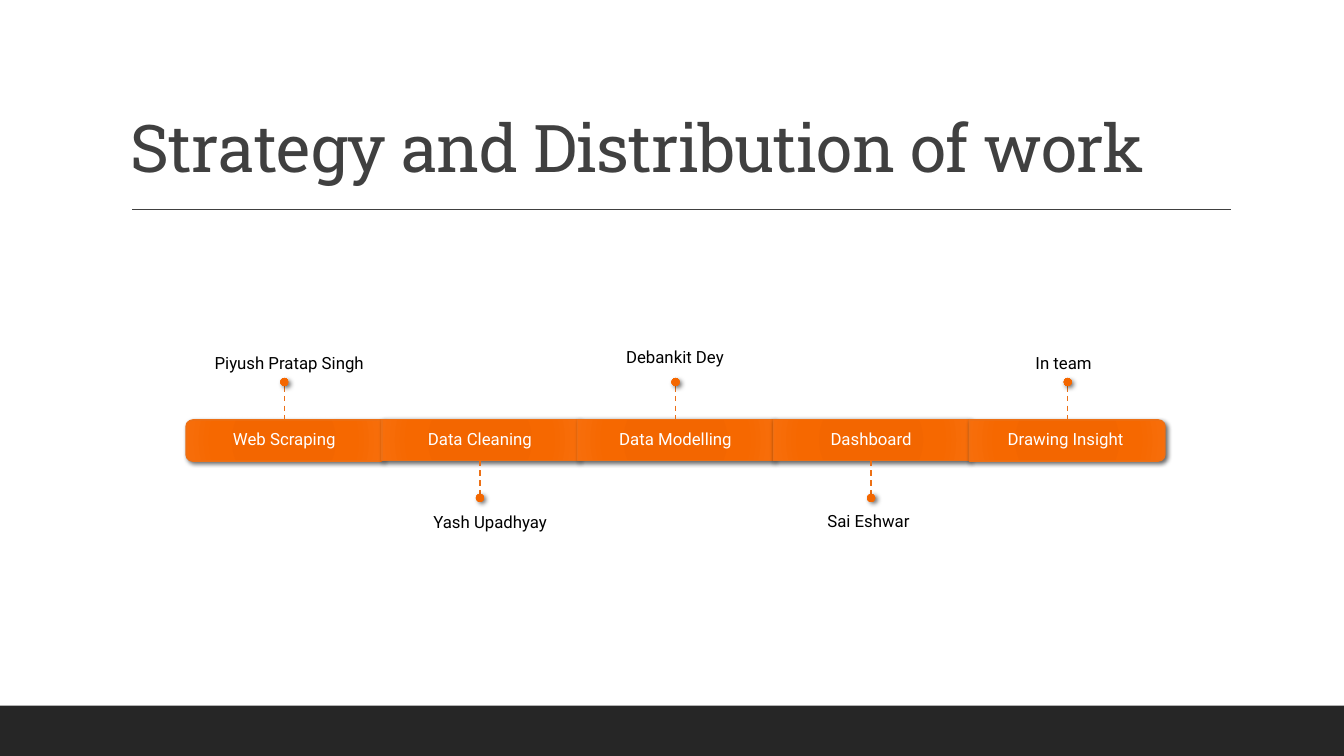
"""Build a slide that shows five work steps and who does each."""
from dataclasses import dataclass

import pptx
import pptx.dml.color
import pptx.enum.dml
import pptx.enum.shapes
import pptx.enum.text
import pptx.oxml
import pptx.oxml.ns
import pptx.util

PX = 9144
HUES = {"ink": "404040", "foot": "262626", "edge": "EC7016",
        "white": "FFFFFF", "black": "000000"}
GLOW = {0: "F06500", 34: "F36600", 70: "F66800", 100: "F76E0B"}
KIND = pptx.enum.shapes.MSO_SHAPE
SIDE = pptx.enum.text.PP_ALIGN
HOLD = pptx.enum.text.MSO_ANCHOR
NS = pptx.oxml.ns.nsdecls("a")
BAR_X, BAR_Y, BAR_W, BAR_H = 185, 416, 194, 41
STEM, DOT = 33, 8


@dataclass(frozen=True)
class Box:
    x: int
    y: int
    w: int
    h: int


@dataclass(frozen=True)
class Style:
    font: str = "Roboto"
    size: int = 12
    hue: str = "black"
    side: SIDE = SIDE.CENTER
    hold: HOLD = HOLD.TOP
    pads: tuple[int, int, int, int] = (10, 5, 10, 5)
    lead: float = 0.9


@dataclass(frozen=True)
class Step:
    task: str
    who: str
    box: Box
    style: Style
    kind: KIND = KIND.RECTANGLE
    turn: int = 0


TITLE = Style("Roboto Slab", 47, "ink", SIDE.LEFT, HOLD.BOTTOM)
TASK = Style(hue="white", hold=HOLD.MIDDLE, pads=(10, 10, 10, 10))
LEFT = Style(side=SIDE.LEFT, lead=1.0)
ABOVE = Style(hold=HOLD.BOTTOM, pads=(0, 0, 0, 10))
BELOW = Style(pads=(0, 10, 0, 0))
ENDS = KIND.ROUND_2_SAME_RECTANGLE
STEPS = [
    Step("Web Scraping", "Piyush Pratap Singh", Box(203, 345, 231, 30), LEFT, ENDS, 270),
    Step("Data Cleaning", "Yash Upadhyay", Box(420, 503, 231, 30), LEFT),
    Step("Data Modelling", "Debankit Dey", Box(508, 229, 323, 145), ABOVE),
    Step("Dashboard", "Sai Eshwar ", Box(702, 499, 323, 145), BELOW),
    Step("Drawing Insight ", "In team ", Box(920, 345, 274, 30), Style(lead=1.0), ENDS, 90),
]


def tint(name: str) -> pptx.dml.color.RGBColor:
    return pptx.dml.color.RGBColor.from_string(HUES[name])


def put_text(slide, text: str, box: Box, style: Style):
    area = slide.shapes.add_textbox(box.x * PX, box.y * PX, box.w * PX, box.h * PX)
    frame = area.text_frame
    frame.word_wrap = True
    frame.vertical_anchor = style.hold
    (frame.margin_left, frame.margin_top,
     frame.margin_right, frame.margin_bottom) = (pad * PX for pad in style.pads)
    frame.text = text
    para = frame.paragraphs[0]
    para.alignment = style.side
    para.line_spacing = style.lead
    font = para.runs[0].font
    font.name, font.size = style.font, pptx.util.Pt(style.size)
    font.color.rgb = tint(style.hue)
    return area


def put_line(slide, x: int, y: int, to_x: int, to_y: int, hue: str):
    line = slide.shapes.add_connector(
        pptx.enum.shapes.MSO_CONNECTOR.STRAIGHT, x * PX, y * PX, to_x * PX, to_y * PX)
    line.line.color.rgb = tint(hue)
    line.line.width = pptx.util.Pt(1)
    line.element.spPr.append(pptx.oxml.parse_xml(f"<a:effectLst {NS}/>"))
    return line


def put_shape(slide, kind: KIND, box: Box, hue: str):
    shape = slide.shapes.add_shape(kind, box.x * PX, box.y * PX, box.w * PX, box.h * PX)
    shape.shadow.inherit = False
    shape.fill.solid()
    shape.fill.fore_color.rgb = tint(hue)
    shape.line.fill.background()
    return shape


def put_glow(slide, kind: KIND, box: Box):
    shape = put_shape(slide, kind, box, "edge")
    props = shape.element.spPr
    stops = "".join(f'<a:gs pos="{at * 1000}"><a:srgbClr val="{hue}"/></a:gs>'
                    for at, hue in GLOW.items())
    fill = pptx.oxml.parse_xml(
        f'<a:gradFill {NS} rotWithShape="1"><a:gsLst>{stops}</a:gsLst><a:path path="circle">'
        '<a:fillToRect l="100000" t="100000" r="100000" b="100000"/></a:path></a:gradFill>')
    props.replace(props.find(pptx.oxml.ns.qn("a:solidFill")), fill)
    props.find(pptx.oxml.ns.qn("a:effectLst")).append(pptx.oxml.parse_xml(
        f'<a:outerShdw {NS} blurRad="44450" dist="25400" dir="2700000" rotWithShape="0">'
        '<a:srgbClr val="000000"><a:alpha val="60000"/></a:srgbClr></a:outerShdw>'))
    return shape


def put_step(slide, rank: int, step: Step) -> None:
    left = BAR_X + rank * 777 // 4
    mid = left + BAR_W // 2
    area = Box(left, BAR_Y, BAR_W, BAR_H)
    if step.turn:
        shift = (BAR_W - BAR_H) // 2
        bar = put_glow(slide, step.kind, Box(left + shift, BAR_Y - shift, BAR_H, BAR_W))
        bar.rotation = step.turn
    else:
        bar = put_glow(slide, step.kind, area)
    bar.line.color.rgb = tint("edge")
    bar.line.width = pptx.util.Pt(1)
    put_text(slide, step.task, area, TASK)
    if rank % 2:
        top, dot = BAR_Y + BAR_H, BAR_Y + BAR_H + STEM
    else:
        top, dot = BAR_Y - STEM, BAR_Y - STEM - DOT
    stem = put_line(slide, mid, top, mid, top + STEM, "edge")
    stem.line.dash_style = pptx.enum.dml.MSO_LINE.DASH
    put_glow(slide, KIND.OVAL, Box(mid - DOT // 2, dot, DOT, DOT))
    put_text(slide, step.who, step.box, step.style)


def main() -> None:
    deck = pptx.Presentation()
    deck.slide_width, deck.slide_height = 1333 * PX, 750 * PX
    slide = deck.slides.add_slide(deck.slide_layouts[6])
    put_shape(slide, KIND.RECTANGLE, Box(0, 700, 1333, 50), "foot")
    put_line(slide, 131, 208, 1221, 208, "ink")
    title = put_text(slide, "Strategy and Distribution of work", Box(120, 31, 1100, 159), TITLE)
    for props in title.element.iter(pptx.oxml.ns.qn("a:rPr")):
        props.set("spc", "-50")
    for rank, step in enumerate(STEPS):
        put_step(slide, rank, step)
    deck.save("out.pptx")


if __name__ == "__main__":
    main()
